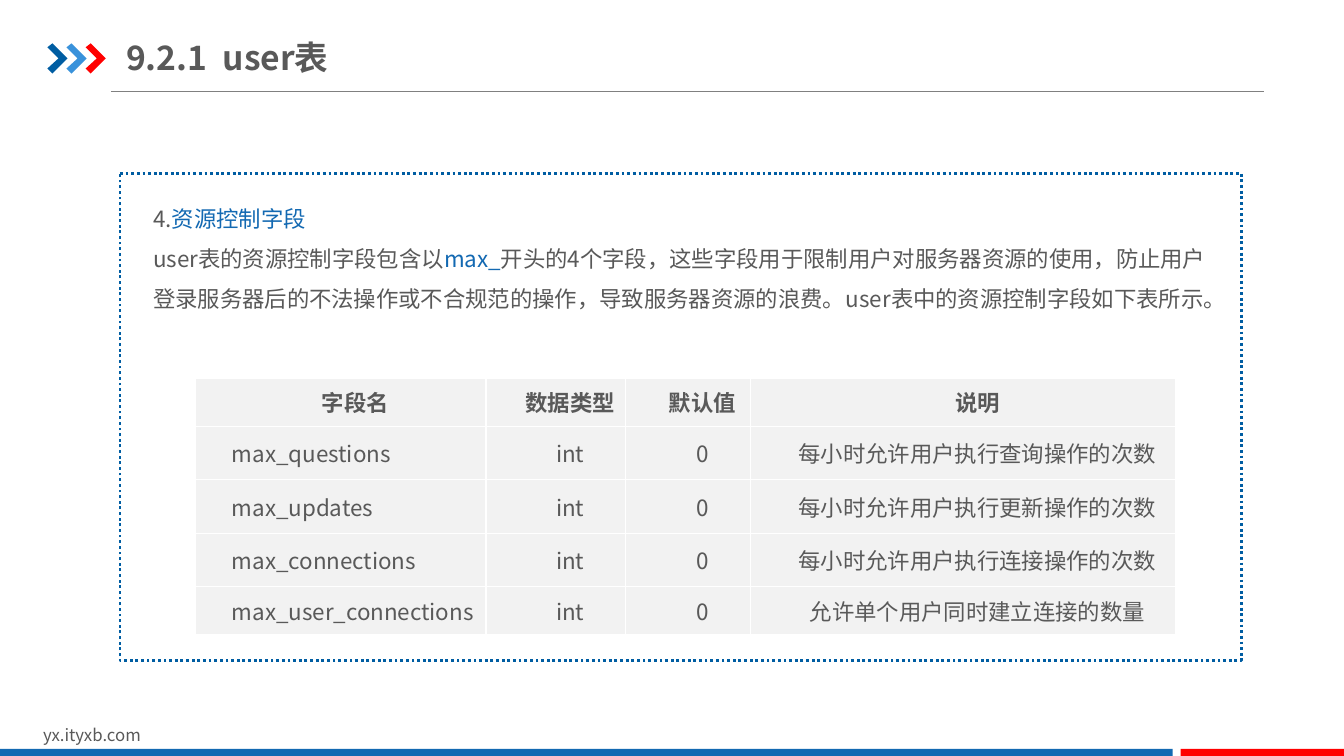
from dataclasses import dataclass

from lxml.etree import SubElement
from pptx import Presentation
from pptx.dml.color import RGBColor
from pptx.enum.dml import MSO_LINE
from pptx.enum.shapes import MSO_CONNECTOR, MSO_SHAPE
from pptx.enum.text import MSO_ANCHOR, MSO_AUTO_SIZE, PP_ALIGN
from pptx.oxml.ns import qn
from pptx.util import Inches, Pt

FONT = "Noto Sans CJK SC"
TEXT_GRAY = RGBColor(0x59, 0x59, 0x59)
RULE_GRAY = RGBColor(0x80, 0x80, 0x80)
CELL_GRAY = RGBColor(0xF2, 0xF2, 0xF2)
WHITE = RGBColor(0xFF, 0xFF, 0xFF)
NAVY = RGBColor(0x00, 0x5D, 0xA2)
SKY = RGBColor(0x39, 0x92, 0xDB)
BLUE = RGBColor(0x13, 0x69, 0xB2)
RED = RGBColor(0xFF, 0x00, 0x00)


@dataclass(frozen=True)
class Box:
    left: float
    top: float
    width: float
    height: float

    def lengths(self) -> tuple:
        return tuple(Inches(n) for n in (self.left, self.top, self.width, self.height))


@dataclass(frozen=True)
class Field:
    name: str
    description: str
    data_type: str = "int"
    default: str = "0"

    def cells(self) -> tuple:
        return self.name, self.data_type, self.default, self.description


FOOTER_BARS = [(Box(0, 7.43, 11.63, 0.09), BLUE), (Box(11.71, 7.43, 1.63, 0.09), RED)]
CHEVRON = [(0, 0.04), (0.05, 0), (0.2, 0.15), (0.05, 0.3), (0, 0.25), (0.11, 0.15)]
BODY = [
    [("4.", TEXT_GRAY), ("资源控制字段", BLUE)],
    [
        ("user表的资源控制字段包含以", TEXT_GRAY),
        ("max_", BLUE),
        ("开头的4个字段，这些字段用于限制用户对服务器资源的使用，防止用户登录服务器后的"
         "不法操作或不合规范的操作，导致服务器资源的浪费。user表中的资源控制字段如下表所示。",
         TEXT_GRAY),
    ],
]
HEADINGS = ("字段名", "数据类型", "默认值", "说明")
FIELDS = [
    Field("max_questions", "每小时允许用户执行查询操作的次数"),
    Field("max_updates", "每小时允许用户执行更新操作的次数"),
    Field("max_connections", "每小时允许用户执行连接操作的次数"),
    Field("max_user_connections", "允许单个用户同时建立连接的数量"),
]
COLUMN_WIDTHS = (2.88, 1.38, 1.24, 4.22)
ROW_HEIGHTS = (0.48, 0.53, 0.53, 0.53, 0.48)


def add_text(paragraph, text: str, *, size: float = 16,
             color: RGBColor = TEXT_GRAY, bold: bool = False) -> None:
    run = paragraph.add_run()
    run.text = text
    font = run.font
    font.size, font.bold, font.name = Pt(size), bold, FONT
    font.color.rgb = color
    SubElement(run._r.get_or_add_rPr(), qn("a:ea"), typeface=FONT)


def add_text_box(slide, box: Box):
    frame = slide.shapes.add_textbox(*box.lengths()).text_frame
    frame.word_wrap = True
    frame.auto_size = MSO_AUTO_SIZE.SHAPE_TO_FIT_TEXT
    return frame


def paint(shape, color: RGBColor) -> None:
    shape.shadow.inherit = False
    shape.fill.solid()
    shape.fill.fore_color.rgb = color
    shape.line.fill.background()


def add_title(slide) -> None:
    title = slide.shapes.title
    title.left, title.top, title.width, title.height = Box(1.25, 0.29, 4.64, 0.55).lengths()
    frame = title.text_frame
    frame.auto_size = MSO_AUTO_SIZE.NONE
    frame.vertical_anchor = MSO_ANCHOR.MIDDLE
    frame.margin_left = frame.margin_right = 0
    frame.margin_top = frame.margin_bottom = Inches(0.07)
    paragraph = frame.paragraphs[0]
    paragraph.alignment = PP_ALIGN.LEFT
    add_text(paragraph, "9.2.1  user表", size=24, bold=True)


def add_chevron(slide, left: float, top: float, color: RGBColor) -> None:
    points = [(Inches(left + x), Inches(top + y)) for x, y in CHEVRON]
    builder = slide.shapes.build_freeform(*points[0])
    builder.add_line_segments(points[1:], close=True)
    paint(builder.convert_to_shape(), color)


def add_header_rule(slide) -> None:
    rule = slide.shapes.add_connector(
        MSO_CONNECTOR.STRAIGHT, Inches(1.1), Inches(0.91), Inches(12.54), Inches(0.91))
    rule.line.color.rgb = RULE_GRAY
    rule.line.width = Pt(0.75)
    SubElement(rule._element.spPr, qn("a:effectLst"))


def add_panel(slide) -> None:
    panel = slide.shapes.add_shape(
        MSO_SHAPE.FLOWCHART_PROCESS, *Box(1.19, 1.72, 11.12, 4.83).lengths())
    paint(panel, WHITE)
    panel.line.color.rgb = NAVY
    panel.line.width = Pt(2)
    panel.line.dash_style = MSO_LINE.ROUND_DOT


def add_body(slide) -> None:
    frame = add_text_box(slide, Box(1.42, 1.85, 10.69, 1.31))
    for index, runs in enumerate(BODY):
        paragraph = frame.add_paragraph() if index else frame.paragraphs[0]
        paragraph.line_spacing = 1.5
        for text, color in runs:
            add_text(paragraph, text, color=color)


def format_cell(cell) -> None:
    properties = cell._tc.get_or_add_tcPr()
    for side in ("lnL", "lnR", "lnT", "lnB"):
        border = SubElement(properties, qn(f"a:{side}"), w=str(Pt(1)))
        fill = SubElement(border, qn("a:solidFill"))
        SubElement(fill, qn("a:srgbClr"), val=str(WHITE))
    cell.fill.solid()
    cell.fill.fore_color.rgb = CELL_GRAY
    cell.vertical_anchor = MSO_ANCHOR.MIDDLE
    cell.margin_left = cell.margin_right = Inches(0.07)
    cell.margin_top = cell.margin_bottom = 0


def add_field_table(slide) -> None:
    rows = [HEADINGS] + [field.cells() for field in FIELDS]
    box = Box(1.94, 3.75, sum(COLUMN_WIDTHS), sum(ROW_HEIGHTS))
    table = slide.shapes.add_table(len(rows), len(HEADINGS), *box.lengths()).table
    for column, width in zip(table.columns, COLUMN_WIDTHS):
        column.width = Inches(width)
    for row, height in zip(table.rows, ROW_HEIGHTS):
        row.height = Inches(height)
    for r, texts in enumerate(rows):
        for c, text in enumerate(texts):
            cell = table.cell(r, c)
            format_cell(cell)
            paragraph = cell.text_frame.paragraphs[0]
            is_name = r > 0 and c == 0
            paragraph.alignment = PP_ALIGN.JUSTIFY if is_name else PP_ALIGN.CENTER
            paragraph._p.get_or_add_pPr().set("indent", str(Inches(0.29)))
            add_text(paragraph, text, bold=r == 0)


def main() -> None:
    presentation = Presentation()
    presentation.slide_width = Inches(13.33)
    presentation.slide_height = Inches(7.5)
    slide = presentation.slides.add_slide(presentation.slide_layouts[5])

    # Header
    add_title(slide)
    add_header_rule(slide)
    for index, color in enumerate((NAVY, SKY, RED)):
        add_chevron(slide, 0.47 + 0.19 * index, 0.43, color)

    # Footer
    footer = add_text_box(slide, Box(0.33, 7.14, 3.18, 0.3))
    add_text(footer.paragraphs[0], "yx.ityxb.com", size=12)
    for box, color in FOOTER_BARS:
        paint(slide.shapes.add_shape(MSO_SHAPE.RECTANGLE, *box.lengths()), color)

    # Content
    add_panel(slide)
    add_body(slide)
    add_field_table(slide)
    presentation.save("out.pptx")


if __name__ == "__main__":
    main()
